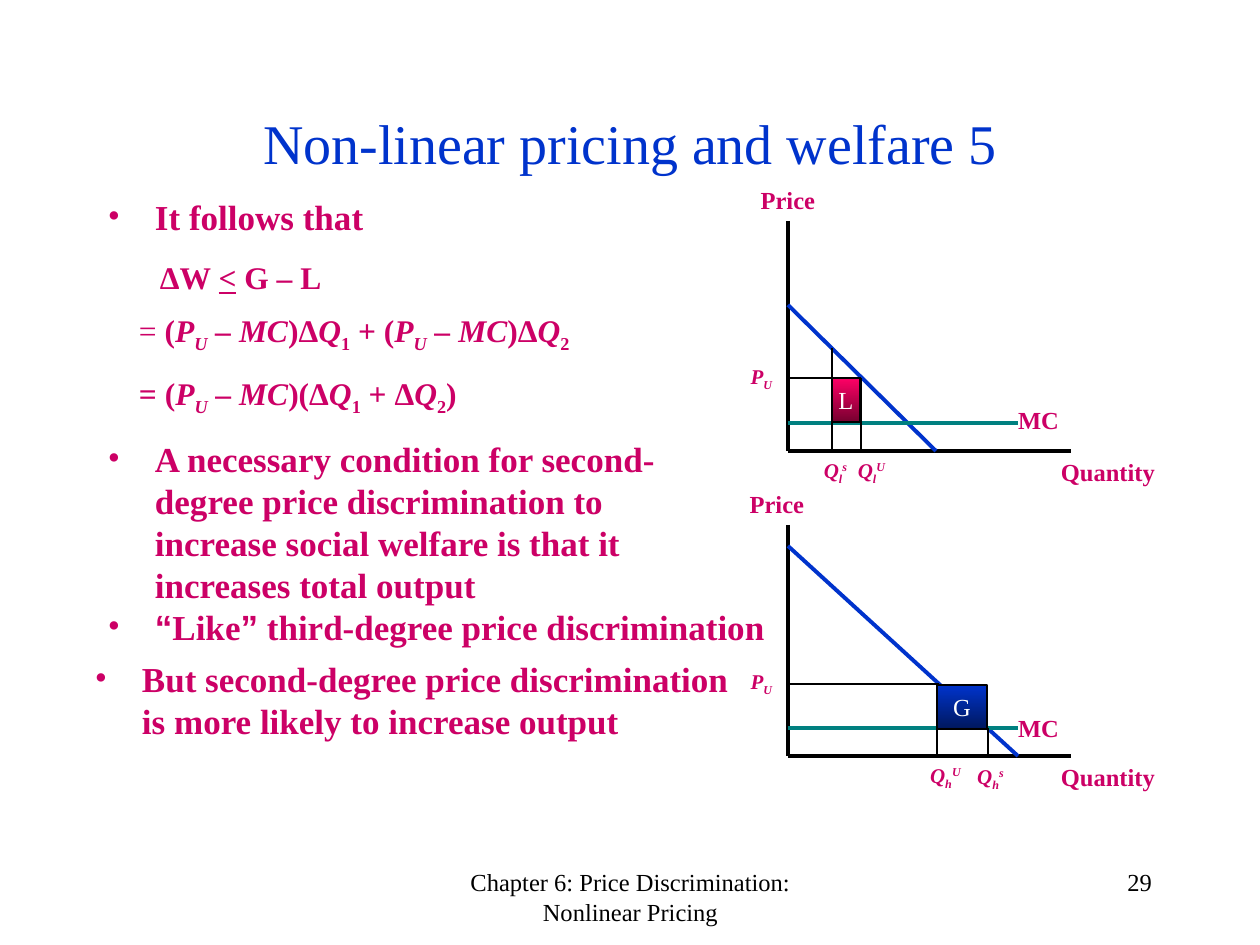
from dataclasses import dataclass

from lxml import etree
from pptx import Presentation
from pptx import util as u
from pptx.dml.color import RGBColor
from pptx.enum import shapes, text
from pptx.oxml.ns import qn

SCALE = 914400 / 126  # EMU per px
SERIF = "Times New Roman"
COLORS = {
    "black": "000000", "white": "FFFFFF", "blue": "0033CC", "navy": "00185E",
    "magenta": "CC0066", "pink": "FF0066", "maroon": "76002F", "teal": "008080",
}
LEFT, CENTER, RIGHT = text.PP_ALIGN.LEFT, text.PP_ALIGN.CENTER, text.PP_ALIGN.RIGHT
Run = tuple[str, str]  # wording, flags: b i u, _ subscript, ^ superscript, a Arial
Box = tuple[int, int, int, int]
Line = tuple[int, int, int, int]

MARGIN: list[Run] = [("P", "bi"), ("U", "bi_"), (" – MC", "bi")]


def quantity(group: str, case: str) -> list[Run]:
    return [("Q", "bi"), (group, "bi_"), (case, "bi^")]


def output_change(lead: str, number: str) -> list[Run]:
    return [(lead, "b"), ("Q", "bi"), (number, "b_")]


@dataclass
class Market:
    """One price-quantity diagram; lines run x1, y1, x2, y2."""
    axis_top: int
    axis_bottom: int
    price_left: int
    demand_start: int
    demand_end: int
    cost: int
    cost_label_top: int
    guides: list[Line]
    area: Box
    area_name: str
    shades: tuple[str, str]
    quantities: list[tuple[Box, list[Run]]]


@dataclass
class Passage:
    box: Box
    runs: list[Run]
    size: int = 20
    bullet: bool = True
    inset: int = 13


AXIS_X, AXIS_END, COST_END = 788, 1071, 1018
MARKETS = [
    Market(221, 451, 725, 305, 936, 423, 399,
           [(788, 378, 861, 378), (861, 378, 861, 451), (832, 348, 832, 451)],
           (832, 378, 28, 44), "L", ("pink", "maroon"),
           [((840, 451, 63, 42), quantity("l", "U")),
            ((809, 451, 53, 42), quantity("l", "s"))]),
    Market(525, 756, 714, 546, 1018, 728, 707,
           [(788, 684, 939, 684), (937, 684, 937, 757), (988, 728, 988, 757)],
           (937, 685, 50, 44), "G", ("blue", "navy"),
           [((914, 756, 63, 42), quantity("h", "U")),
            ((959, 757, 63, 42), quantity("h", "s"))]),
]
PASSAGES = [
    Passage((126, 305, 473, 55),
            [("= ", ""), ("(", "b"), *MARGIN, *output_change(")Δ", "1"),
             (" + (", "b"), *MARGIN, *output_change(")Δ", "2")], 18, False),
    Passage((126, 368, 399, 55),
            [("= (", "b"), *MARGIN, *output_change(")(Δ", "1"),
             *output_change(" + Δ", "2"), (")", "b")], 18, False),
    Passage((147, 252, 210, 50),
            [("ΔW ", "b"), ("<", "bu"), (" G – L", "b")], 18, False),
    Passage((95, 431, 609, 199),
            [("A necessary condition for second-degree price discrimination to "
              "increase social welfare is that it increases total output", "b")]),
    Passage((95, 189, 609, 63), [("It follows that", "b")]),
    Passage((95, 599, 683, 63),
            [("“", "ba"), ("Like", "b"), ("”", "ba"),
             (" third-degree price discrimination", "b")]),
    Passage((95, 651, 651, 116),
            [("But second-degree price discrimination is more likely to "
              "increase output", "b")], inset=0),
]


def px(length: int) -> u.Emu:
    return u.Emu(round(length * SCALE))


def rgb(name: str) -> RGBColor:
    return RGBColor.from_string(COLORS[name])


def write(frame, runs: list[Run], size: int, color: str, align=LEFT, inset: int = 0):
    """Fill the frame's first paragraph run by run and return it."""
    frame.margin_left = frame.margin_right = px(inset)
    paragraph = frame.paragraphs[0]
    paragraph.alignment = align
    for wording, flags in runs:
        run = paragraph.add_run()
        run.text = wording
        font = run.font
        font.name = "Arial" if "a" in flags else SERIF
        font.size = u.Pt(size)
        font.color.rgb = rgb(color)
        font.bold = "b" in flags
        font.italic = "i" in flags
        font.underline = "u" in flags
        for mark, baseline in (("_", "-25000"), ("^", "30000")):
            if mark in flags:
                run._r.get_or_add_rPr().set("baseline", baseline)
    return paragraph


def add_text(slide, box: Box, runs: list[Run], size: int = 14,
             color: str = "magenta", align=CENTER, inset: int = 0):
    frame = slide.shapes.add_textbox(*map(px, box)).text_frame
    frame.word_wrap = True
    return write(frame, runs, size, color, align, inset)


def add_bullet(paragraph) -> None:
    properties = paragraph._p.get_or_add_pPr()
    properties.set("marL", str(px(47)))
    properties.set("indent", str(px(-47)))
    tint = etree.SubElement(properties, qn("a:buClr"))
    etree.SubElement(tint, qn("a:srgbClr")).set("val", COLORS["magenta"])
    etree.SubElement(properties, qn("a:buFont")).set("typeface", SERIF)
    etree.SubElement(properties, qn("a:buChar")).set("char", "•")


def add_line(slide, ends: Line, color: str = "black", width: float = 2.25) -> None:
    line = slide.shapes.add_connector(shapes.MSO_CONNECTOR.STRAIGHT, *map(px, ends))
    line.line.color.rgb = rgb(color)
    line.line.width = u.Pt(width)
    etree.SubElement(line._element.spPr, qn("a:effectLst"))


def add_area(slide, market: Market) -> None:
    area = slide.shapes.add_shape(shapes.MSO_SHAPE.RECTANGLE, *map(px, market.area))
    area.shadow.inherit = False
    area.fill.gradient()
    area.fill.gradient_angle = 270
    for stop, shade in zip(area.fill.gradient_stops, market.shades):
        stop.color.rgb = rgb(shade)
    area.line.color.rgb = rgb("black")
    area.line.width = u.Pt(0.75)
    area.text_frame.word_wrap = False
    area.text_frame.vertical_anchor = text.MSO_ANCHOR.MIDDLE
    write(area.text_frame, [(market.area_name, "")], 14, "white", CENTER)


def draw_market(slide, market: Market) -> None:
    top, bottom = market.axis_top, market.axis_bottom
    add_line(slide, (AXIS_X, top, AXIS_X, bottom))
    add_line(slide, (AXIS_X, bottom, AXIS_END, bottom))
    add_line(slide, (AXIS_X, market.demand_start, market.demand_end, bottom), "blue")
    add_line(slide, (AXIS_X, market.cost, COST_END, market.cost), "teal")
    for guide in market.guides:
        add_line(slide, guide, width=0.75)
    add_text(slide, (market.price_left, top - 42, 126, 43), [("Price", "b")])
    add_text(slide, (1050, bottom, 116, 43), [("Quantity", "b")])
    add_text(slide, (COST_END, market.cost_label_top, 84, 43), [("MC", "b")], align=LEFT)
    add_text(slide, (735, bottom - 94, 53, 42), MARGIN[:2], 12)
    for box, runs in market.quantities:
        add_text(slide, box, runs, 12)
    add_area(slide, market)


def main() -> None:
    deck = Presentation()
    deck.slide_width, deck.slide_height = px(1260), px(945)
    slide = deck.slides.add_slide(deck.slide_layouts[5])

    title = slide.shapes.title
    title.left, title.top, title.width, title.height = map(px, (95, 84, 1071, 116))
    title.text_frame.vertical_anchor = text.MSO_ANCHOR.MIDDLE
    write(title.text_frame, [("Non-linear pricing and welfare 5", "")],
          32, "blue", CENTER, 13)

    for market in MARKETS:
        draw_market(slide, market)
    for passage in PASSAGES:
        paragraph = add_text(slide, passage.box, passage.runs, passage.size,
                             align=LEFT, inset=passage.inset)
        if passage.bullet:
            add_bullet(paragraph)

    add_text(slide, (431, 861, 399, 63),
             [("Chapter 6: Price Discrimination: Nonlinear Pricing", "")],
             color="black", inset=13)
    add_text(slide, (903, 861, 262, 63), [("29", "")],
             color="black", align=RIGHT, inset=13)
    deck.save("out.pptx")


if __name__ == "__main__":
    main()
